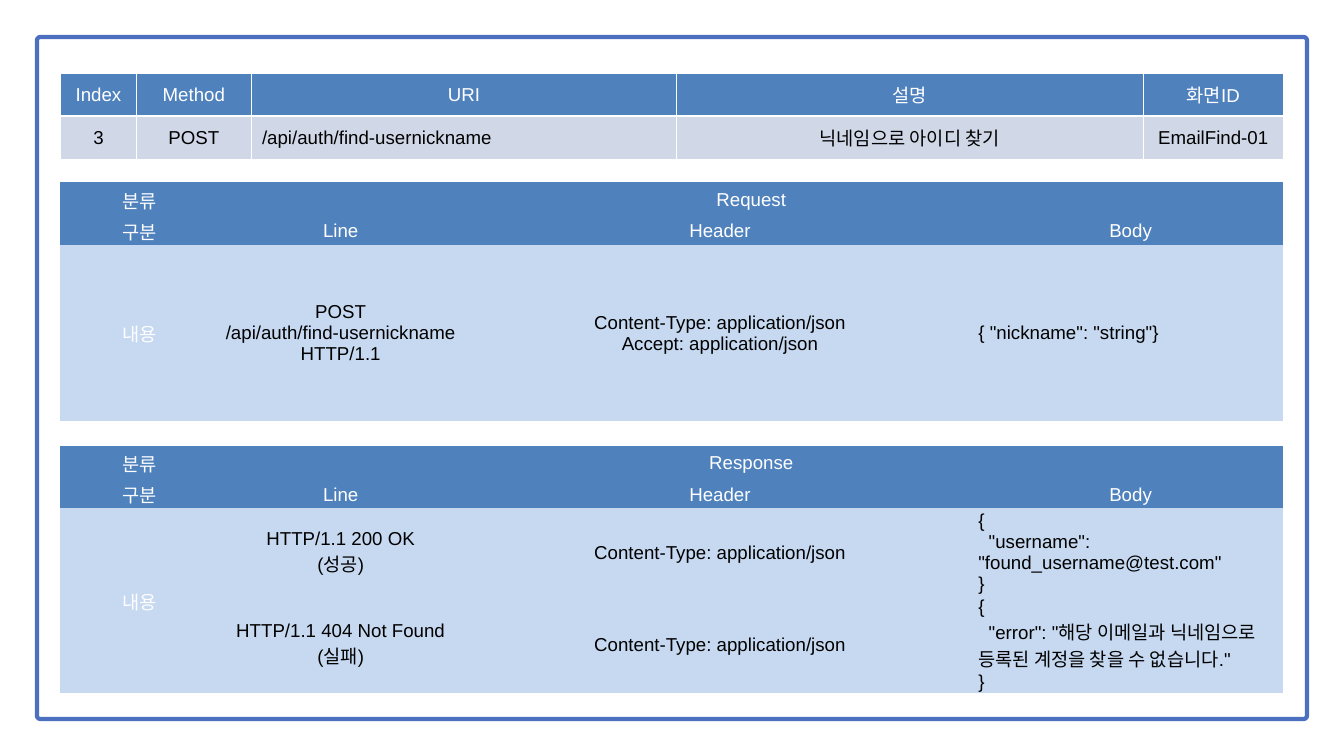
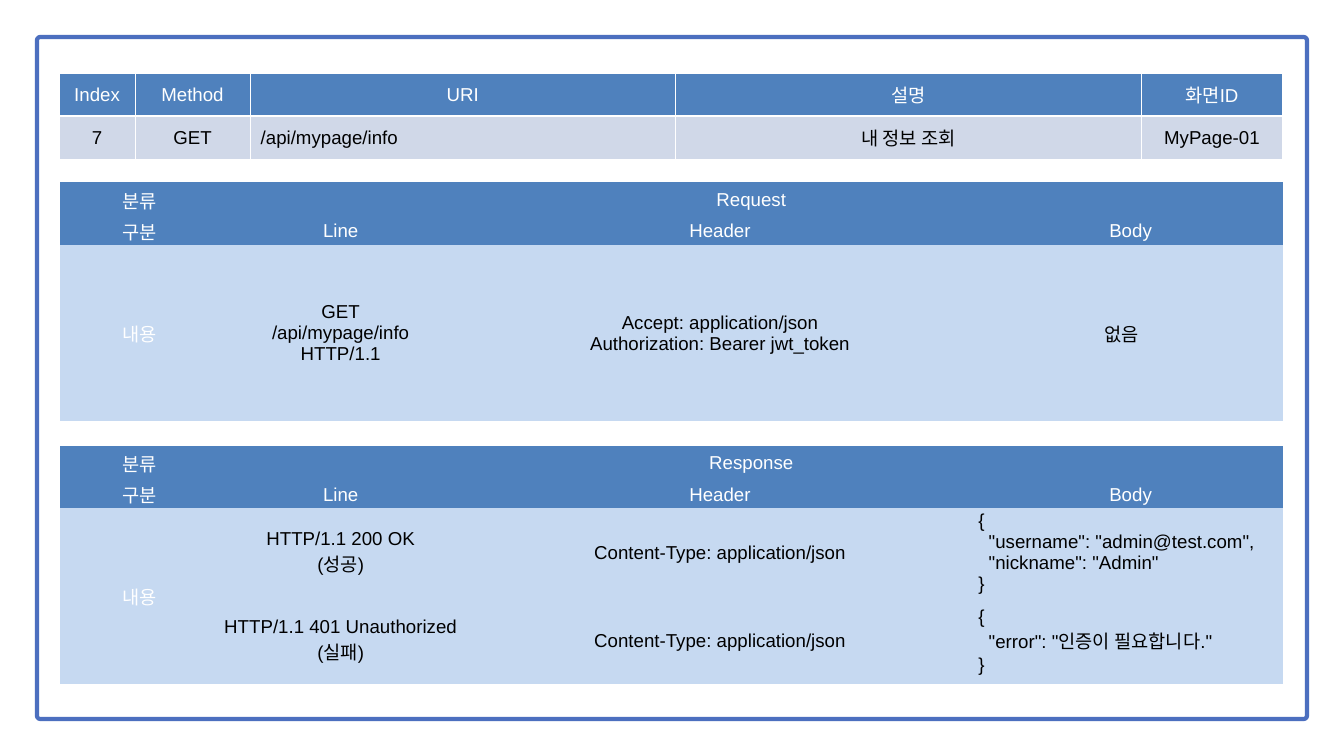
from lxml import etree
from pptx import Presentation
from pptx.dml.color import RGBColor as RGB
from pptx.enum.shapes import MSO_SHAPE as SHAPE
from pptx.enum.text import MSO_ANCHOR as ANCHOR, PP_ALIGN as ALIGN
from pptx.oxml.ns import qn
from pptx.util import Inches, Pt

# Shared look
WHITE, BLACK = "FFFFFF", "000000"
HEAD, BODY, INFO, EDGE = "4F81BD", "C6D9F1", "D0D8E8", "4C6FBF"
FONT, SIZE = "Arial", 20
LEFT = 0.9
PLAIN = "{2D5ABB26-0587-4C30-8999-92F81FD0307C}"  # no style, no grid
TIGHT = (0.01, 0.01, 0.01, 0)
WIDE = (0.16, 0.08, 0.16, 0.08)
INFO_COLS = (1.13, 1.71, 6.33, 6.94, 2.09)
CALL_COLS = (2.36, 3.62, 7.67, 4.55)
TITLES = ("Index", "Method", "URI", "설명", "화면ID")
PARTS = ("구분", "Line", "Header", "Body")
JSON = "Content-Type: application/json"

# Content of each slide
PAGES = [
    dict(
        left=LEFT,
        info=("3", "POST", "/api/auth/find-usernickname",
              "닉네임으로 아이디 찾기", "EmailFind-01"),
        ask=("POST\n/api/auth/find-usernickname HTTP/1.1",
             JSON + "\nAccept: application/json",
             '{ "nickname": "string"}'),
        replies=[
            ("HTTP/1.1 200 OK\n(성공)", JSON,
             '{\n  "username": "found_username@test.com"\n}'),
            ("HTTP/1.1 404 Not Found\n(실패)", JSON,
             '{\n  "error": "해당 이메일과 닉네임으로 등록된 계정을 찾을 수 없습니다."\n}'),
        ],
    ),
    dict(
        left=0.88,
        info=("7", "GET", "/api/mypage/info", "내 정보 조회", "MyPage-01"),
        ask=("GET\n/api/mypage/info\nHTTP/1.1",
             "Accept: application/json\nAuthorization: Bearer jwt_token",
             "없음　"),
        replies=[
            ("HTTP/1.1 200 OK\n(성공)", JSON,
             '{\n  "username": "admin@test.com",\n  "nickname": "Admin"\n}'),
            ("HTTP/1.1 401 Unauthorized (실패)", JSON,
             '{\n  "error": "인증이 필요합니다."\n}'),
        ],
    ),
]


def tint(code):
    return RGB.from_string(code)


def write(frame, text, color=BLACK, align=ALIGN.CENTER):
    """Put each line of text in its own paragraph."""
    for i, line in enumerate(text.split("\n")):
        para = frame.add_paragraph() if i else frame.paragraphs[0]
        para.alignment = align
        run = para.add_run()
        run.text = line
        run.font.name, run.font.size = FONT, Pt(SIZE)
        run.font.color.rgb = tint(color)


def rule(cell, low):
    """Draw white borders; low is the width of the bottom one."""
    props = cell._tc.get_or_add_tcPr()
    for side, width in (("L", 1), ("R", 1), ("T", 1), ("B", low)):
        line = etree.SubElement(props, qn(f"a:ln{side}"), w=str(Pt(width)))
        fill = etree.SubElement(line, qn("a:solidFill"))
        etree.SubElement(fill, qn("a:srgbClr"), val=WHITE)


def fill_in(cell, text, fill, pad, low=0, **form):
    cell.margin_left, cell.margin_top, cell.margin_right, cell.margin_bottom = map(Inches, pad)
    cell.vertical_anchor = ANCHOR.MIDDLE
    if low:
        rule(cell, low)
    cell.fill.solid()
    cell.fill.fore_color.rgb = tint(fill)
    if text:
        write(cell.text_frame, text, **form)


def add_grid(slide, left, top, cols, rows):
    frame = slide.shapes.add_table(len(rows), len(cols), Inches(left), Inches(top),
                                   Inches(sum(cols)), Inches(sum(rows)))
    grid = frame.table
    grid._tbl.tblPr.find(qn("a:tableStyleId")).text = PLAIN
    for col, width in zip(grid.columns, cols):
        col.width = Inches(width)
    for row, height in zip(grid.rows, rows):
        row.height = Inches(height)
    return grid


def add_frame(slide):
    box = slide.shapes.add_shape(SHAPE.ROUNDED_RECTANGLE, Inches(0.55), Inches(0.55),
                                 Inches(18.9), Inches(10.15))
    box.adjustments[0] = 0.005
    box.shadow.inherit = False
    box.fill.solid()
    box.fill.fore_color.rgb = tint(WHITE)
    box.line.color.rgb = tint(EDGE)
    box.line.width = Pt(4.5)


def add_info(slide, left, info):
    grid = add_grid(slide, left, 1.09, INFO_COLS, (0.64, 0.64))
    for c, (title, value) in enumerate(zip(TITLES, info)):
        fill_in(grid.cell(0, c), title, HEAD, WIDE, low=3, color=WHITE)
        align = ALIGN.LEFT if title == "URI" else ALIGN.CENTER
        fill_in(grid.cell(1, c), value, INFO, WIDE, low=1, align=align)


def add_call(slide, top, kind, items, height):
    """Table of a request or response, one row per item."""
    grid = add_grid(slide, LEFT, top, CALL_COLS, [0.52, 0.39] + [height] * len(items))
    # Heading rows
    for r, names in enumerate((("분류", kind, "", ""), PARTS)):
        for c, name in enumerate(names):
            fill_in(grid.cell(r, c), name, HEAD, TIGHT, color=WHITE)
    grid.cell(0, 1).merge(grid.cell(0, 3))
    # Content rows
    for r, item in enumerate(items, 2):
        fill_in(grid.cell(r, 0), "내용" if r == 2 else "", BODY, TIGHT, color=WHITE)
        for c, text in enumerate(item, 1):
            align = ALIGN.LEFT if text.startswith("{") else ALIGN.CENTER
            fill_in(grid.cell(r, c), text, BODY, TIGHT, align=align)
    if len(items) > 1:
        grid.cell(2, 0).merge(grid.cell(len(items) + 1, 0))


def main():
    deck = Presentation()
    deck.slide_width, deck.slide_height = Inches(20), Inches(11.25)
    for page in PAGES:
        slide = deck.slides.add_slide(deck.slide_layouts[6])
        add_frame(slide)
        add_call(slide, 2.71, "Request", [page["ask"]], 2.62)
        add_call(slide, 6.63, "Response", page["replies"], 1.31)
        add_info(slide, page["left"], page["info"])
    deck.save("out.pptx")


if __name__ == "__main__":
    main()
